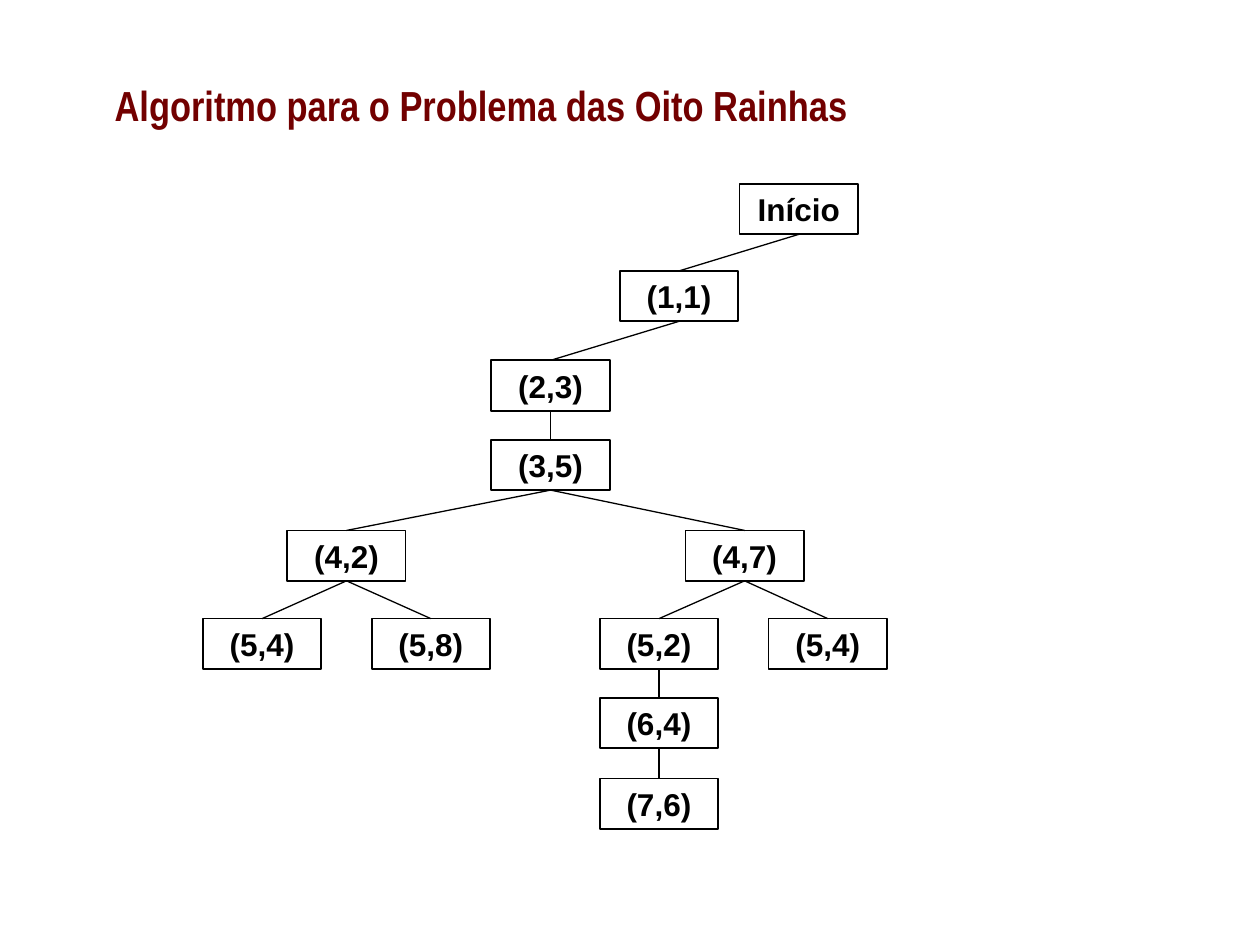
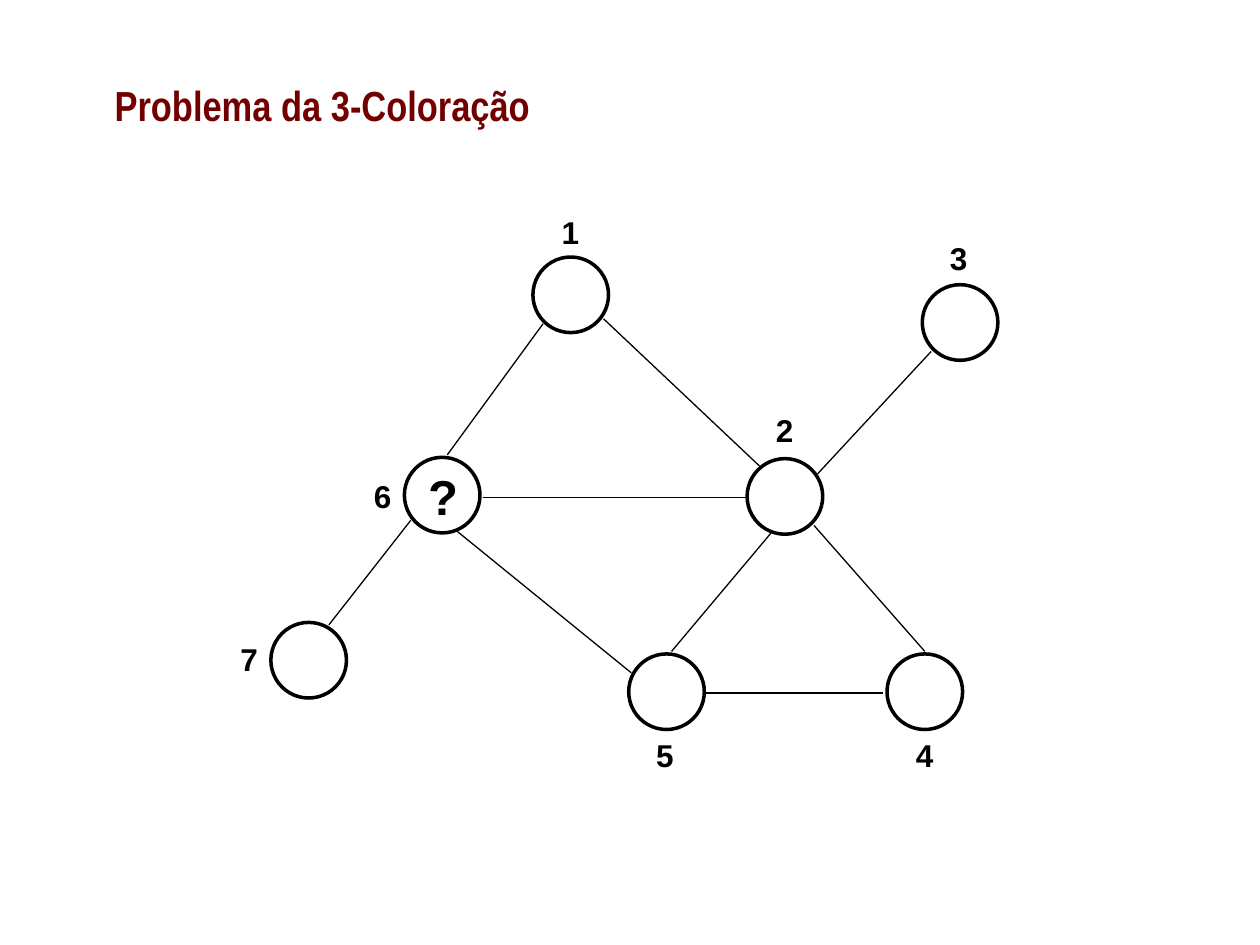
from dataclasses import dataclass
from typing import NamedTuple

from lxml import etree
from pptx import Presentation, util as u
from pptx.dml.color import RGBColor
from pptx.enum import shapes, text
from pptx.oxml.ns import qn

SCALE = 9144  # EMU per px, 100 px to the inch
TITLE_COLOR = "720000"
INK = "000000"
TITLE_FONT = "Arial Narrow"
BODY_FONT = "Arial"
EDGE_WIDTH = 0.75

BOX_WIDTH, BOX_HEIGHT = 94, 40
LEVEL_TOPS = (146, 215, 286, 349, 421, 491, 554, 618)
CIRCLE = 60
LABEL_WIDTH, LABEL_HEIGHT = 34, 40


@dataclass(frozen=True)
class Move:
    """A node of the search tree; its depth sets its top."""
    label: str
    left: int
    replies: tuple["Move", ...] = ()


class Vertex(NamedTuple):
    number: str
    left: int
    top: int
    label_left: int
    label_top: int


class Edge(NamedTuple):
    x1: int
    y1: int
    x2: int
    y2: int


QUEENS = Move("Início", 587, (
    Move("(1,1)", 492, (
        Move("(2,3)", 390, (
            Move("(3,5)", 390, (
                Move("(4,2)", 228, (Move("(5,4)", 161), Move("(5,8)", 295))),
                Move("(4,7)", 544, (
                    Move("(5,2)", 476, (
                        Move("(6,4)", 476, (Move("(7,6)", 476),)),)),
                    Move("(5,4)", 610))),
            )),)),)),))

VERTICES = (
    Vertex("1", 423, 204, 436, 164),
    Vertex("2", 593, 364, 606, 321),
    Vertex("3", 732, 226, 744, 185),
    Vertex("4", 704, 519, 717, 579),
    Vertex("5", 499, 519, 511, 579),
    Vertex("6", 321, 363, 287, 374),
    Vertex("7", 215, 494, 181, 503),
)

EDGES = (
    Edge(558, 550, 701, 550),  # 5-4
    Edge(533, 517, 612, 423),  # 5-2
    Edge(646, 417, 734, 517),  # 2-4
    Edge(739, 279, 649, 376),  # 3-2
    Edge(383, 395, 592, 395),  # 6-2
    Edge(362, 421, 501, 534),  # 6-5
    Edge(355, 361, 431, 257),  # 6-1
    Edge(479, 253, 604, 371),  # 1-2
    Edge(326, 413, 261, 496),  # 6-7
)


def px(*lengths: int) -> list[u.Emu]:
    return [u.Emu(length * SCALE) for length in lengths]


def rgb(color: str) -> RGBColor:
    return RGBColor.from_string(color)


def format_runs(frame, size: int, font: str = BODY_FONT, color: str = INK) -> None:
    for paragraph in frame.paragraphs:
        for run in paragraph.runs:
            run.font.name = font
            run.font.size = u.Pt(size)
            run.font.bold = True
            run.font.color.rgb = rgb(color)


def add_titled_slide(deck, title: str):
    slide = deck.slides.add_slide(deck.slide_layouts[5])
    heading = slide.shapes.title
    heading.left, heading.top, heading.width, heading.height = px(81, 21, 797, 125)
    frame = heading.text_frame
    frame.text = title
    frame.auto_size = text.MSO_AUTO_SIZE.NONE
    frame.vertical_anchor = text.MSO_ANCHOR.MIDDLE
    frame.paragraphs[0].alignment = text.PP_ALIGN.LEFT
    format_runs(frame, 24, TITLE_FONT, TITLE_COLOR)
    return slide


def add_outline(slide, kind, left: int, top: int, width: int, height: int, weight: float):
    """Add an unfilled preset shape with a black border."""
    outline = slide.shapes.add_shape(kind, *px(left, top, width, height))
    outline.shadow.inherit = False
    outline.fill.background()
    outline.line.color.rgb = rgb(INK)
    outline.line.width = u.Pt(weight)
    return outline


def add_edge(slide, edge: Edge = Edge(0, 0, 0, 0)):
    line = slide.shapes.add_connector(shapes.MSO_CONNECTOR.STRAIGHT, *px(*edge))
    line.line.color.rgb = rgb(INK)
    line.line.width = u.Pt(EDGE_WIDTH)
    etree.SubElement(line.element.spPr, qn("a:effectLst"))
    return line


def add_label(slide, caption: str, left: int, top: int, width: int = LABEL_WIDTH,
              height: int = LABEL_HEIGHT, size: int = 18) -> None:
    label = slide.shapes.add_textbox(*px(left, top, width, height))
    frame = label.text_frame
    frame.text = caption
    frame.word_wrap = False
    frame.auto_size = text.MSO_AUTO_SIZE.SHAPE_TO_FIT_TEXT
    format_runs(frame, size)


def add_tree(slide, move: Move, depth: int = 0):
    """Draw a move and all below it, and return the box of the move."""
    box = add_outline(slide, shapes.MSO_SHAPE.RECTANGLE, move.left, LEVEL_TOPS[depth],
                      BOX_WIDTH, BOX_HEIGHT, 1)
    frame = box.text_frame
    frame.text = move.label
    frame.vertical_anchor = text.MSO_ANCHOR.MIDDLE
    frame.paragraphs[0].alignment = text.PP_ALIGN.CENTER
    format_runs(frame, 18)
    for reply in move.replies:
        reply_box = add_tree(slide, reply, depth + 1)
        branch = add_edge(slide)
        branch.begin_connect(box, 2)
        branch.end_connect(reply_box, 0)
    return box


def build_queens_slide(deck) -> None:
    slide = add_titled_slide(deck, "Algoritmo para o Problema das Oito Rainhas")
    add_tree(slide, QUEENS)


def build_coloring_slide(deck) -> None:
    slide = add_titled_slide(deck, "Problema da 3-Coloração")
    for edge in EDGES:
        add_edge(slide, edge)
    for vertex in VERTICES:
        add_outline(slide, shapes.MSO_SHAPE.OVAL, vertex.left, vertex.top, CIRCLE, CIRCLE, 2)
        add_label(slide, vertex.number, vertex.label_left, vertex.label_top)
    add_label(slide, "?", 330, 365, 44, 57, 28)


def main() -> None:
    deck = Presentation()
    deck.slide_width, deck.slide_height = px(1000, 750)
    build_queens_slide(deck)
    build_coloring_slide(deck)
    deck.save("out.pptx")


if __name__ == "__main__":
    main()
